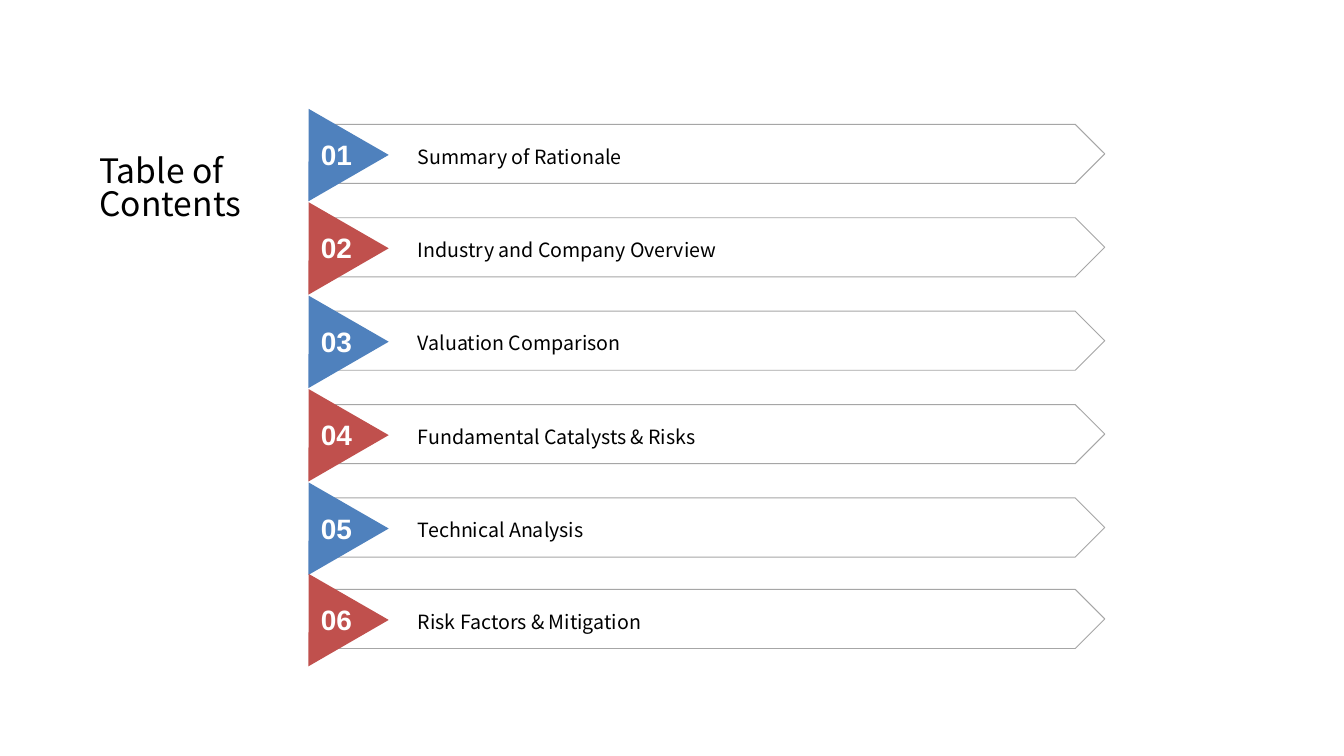
"""Build a table of contents slide with six numbered arrow rows."""
from dataclasses import dataclass

import pptx
import pptx.dml.color
import pptx.enum.shapes
import pptx.enum.text
import pptx.util
from pptx.util import Inches

RGBColor = pptx.dml.color.RGBColor
Shape = pptx.enum.shapes.MSO_SHAPE
Anchor = pptx.enum.text.MSO_ANCHOR
Align = pptx.enum.text.PP_ALIGN

BLUE = RGBColor(0x4F, 0x81, 0xBD)
RED = RGBColor(0xC0, 0x50, 0x4D)
GRAY = RGBColor(0xA6, 0xA6, 0xA6)
BLACK = RGBColor(0, 0, 0)
WHITE = RGBColor(0xFF, 0xFF, 0xFF)

BODY_FONT = "Noto Sans CJK SC"
NUMBER_FONT = "Arial"
FIRST_TOP = 1.85
ROW_PITCH = 1.39
LAST_TOP = 8.77


@dataclass(frozen=True)
class Section:
    number: int
    title: str
    top: float
    color: RGBColor


@dataclass(frozen=True)
class TextStyle:
    font: str
    size: float
    color: RGBColor
    bold: bool = False
    align: Align = Align.LEFT
    anchor: Anchor = Anchor.MIDDLE
    spacing: float = 1.0
    left_inset: float = 0.15


HEADING = TextStyle(BODY_FONT, 36, BLACK, anchor=Anchor.TOP, spacing=0.82)
ROW_TITLE = TextStyle(BODY_FONT, 21, BLACK, spacing=1.2, left_inset=1.33)
NUMBER = TextStyle(NUMBER_FONT, 30, WHITE, bold=True, align=Align.CENTER)

TITLES = [
    "Summary of Rationale",
    "Industry and Company Overview",
    "Valuation Comparison",
    "Fundamental Catalysts & Risks",
    "Technical Analysis",
    "Risk Factors & Mitigation",
]


def write_text(shape, text: str, style: TextStyle) -> None:
    frame = shape.text_frame
    frame.word_wrap = True
    frame.vertical_anchor = style.anchor
    frame.margin_left = Inches(style.left_inset)
    frame.margin_right = Inches(0.15)
    frame.margin_top = frame.margin_bottom = Inches(0.07)
    paragraph = frame.paragraphs[0]
    paragraph.alignment = style.align
    paragraph.line_spacing = style.spacing
    run = paragraph.add_run()
    run.text = text
    run.font.name = style.font
    run.font.size = pptx.util.Pt(style.size)
    run.font.bold = style.bold
    run.font.color.rgb = style.color


def add_text(slide, left: float, top: float, width: float, height: float,
             text: str, style: TextStyle) -> None:
    box = slide.shapes.add_textbox(
        Inches(left), Inches(top), Inches(width), Inches(height))
    write_text(box, text, style)


def add_section(slide, section: Section) -> None:
    arrow = slide.shapes.add_shape(
        Shape.PENTAGON, Inches(4.89), Inches(section.top),
        Inches(11.55), Inches(0.88))
    arrow.shadow.inherit = False
    arrow.fill.background()
    arrow.line.color.rgb = GRAY
    arrow.line.width = pptx.util.Pt(1)
    write_text(arrow, section.title, ROW_TITLE)

    triangle = slide.shapes.add_shape(
        Shape.ISOSCELES_TRIANGLE, Inches(4.2), Inches(section.top - 0.31),
        Inches(1.38), Inches(1.19))
    triangle.shadow.inherit = False
    triangle.rotation = 330
    triangle._element.spPr.xfrm.set("flipH", "1")
    triangle.fill.solid()
    triangle.fill.fore_color.rgb = section.color
    triangle.line.fill.background()

    add_text(slide, 4.62, section.top + 0.09, 0.77, 0.71,
             f"{section.number:02d}", NUMBER)


def main() -> None:
    presentation = pptx.Presentation()
    presentation.slide_width = Inches(20)
    presentation.slide_height = Inches(11.25)
    slide = presentation.slides.add_slide(presentation.slide_layouts[6])

    add_text(slide, 1.33, 2.26, 3.35, 0.61, "Table of Contents", HEADING)
    for index, title in enumerate(TITLES):
        top = min(FIRST_TOP + index * ROW_PITCH, LAST_TOP)
        color = RED if index % 2 else BLUE
        add_section(slide, Section(index + 1, title, top, color))

    presentation.save("out.pptx")


if __name__ == "__main__":
    main()
